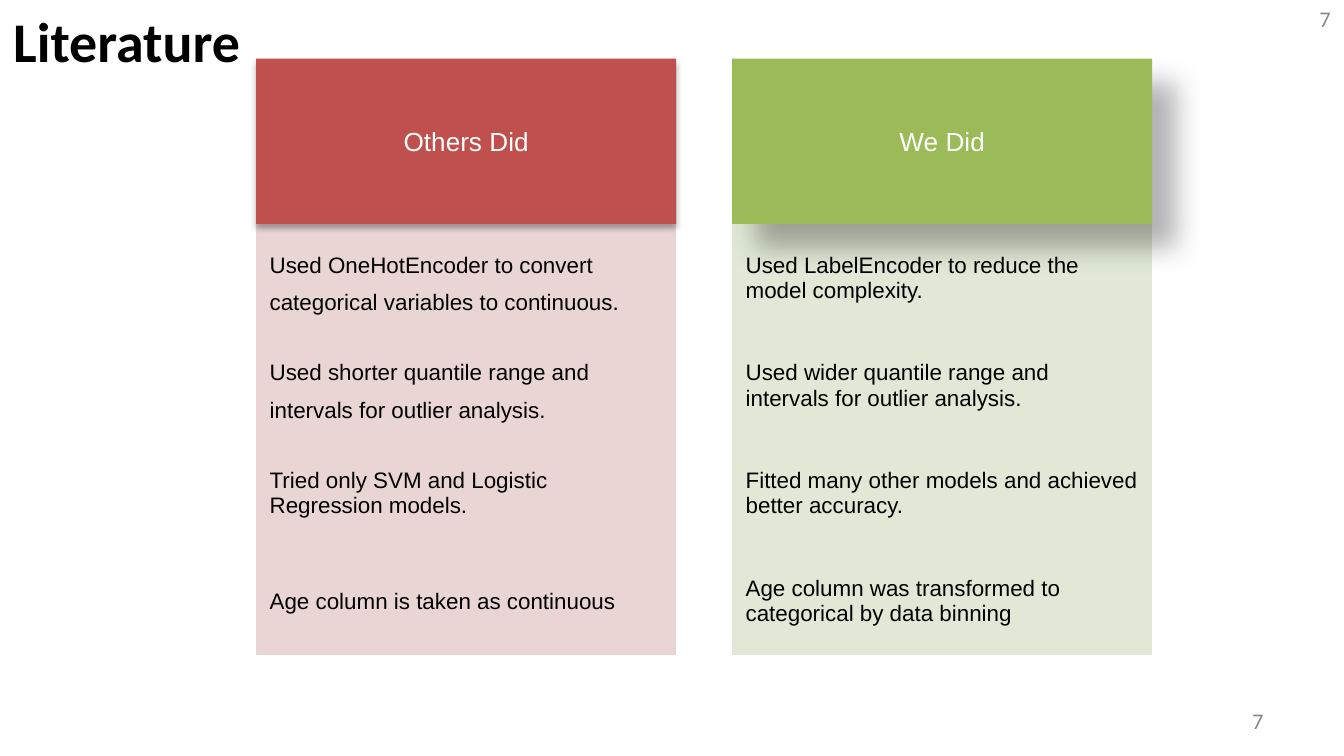
from lxml.etree import SubElement
from pptx import Presentation
from pptx.dml.color import RGBColor
from pptx.enum.shapes import MSO_SHAPE
from pptx.enum.text import MSO_ANCHOR, MSO_AUTO_SIZE, PP_ALIGN
from pptx.oxml.ns import qn
from pptx.util import Pt

PX = 9525
SLIDE_SIZE = (960, 540)
NO_GRID_STYLE = "{2D5ABB26-0587-4C30-8999-92F81FD0307C}"
HEADER_HEIGHT = 118
COLUMN_GAP = 40

COLORS = {
    "text": "000000",
    "header_text": "FFFFFF",
    "page_number": "888888",
    "others": "C0504D",
    "others_body": "EAD5D5",
    "ours": "9BBB59",
    "ours_body": "E1E9D6",
    "shadow": "000000",
}

FORMATS = {
    "title": {"name": "Calibri", "size": Pt(30), "bold": True},
    "page_number": {"name": "Calibri", "size": Pt(12)},
    "header": {"name": "Arial", "size": Pt(14)},
    "body": {"name": "Arial", "size": Pt(12), "bold": False},
}

COMPARISON = [
    {
        "heading": "Others Did",
        "color": "others",
        "shadow": {"opacity": 32, "blur": 3.5, "distance": 2.2, "angle": 90},
        "points": [
            ("Used OneHotEncoder to convert categorical variables to continuous.", 1.5),
            ("Used shorter quantile range and intervals for outlier analysis.", 1.5),
            ("Tried only SVM and Logistic Regression models.", None),
            ("Age column is taken as continuous", None),
        ],
    },
    {
        "heading": "We Did",
        "color": "ours",
        "shadow": {"opacity": 30, "blur": 15, "distance": 18, "angle": 45},
        "points": [
            ("Used LabelEncoder to reduce the model complexity.", None),
            ("Used wider quantile range and intervals for outlier analysis.", None),
            ("Fitted many other models and achieved better accuracy.", None),
            ("Age column was transformed to categorical by data binning", None),
        ],
    },
]


def emu(*lengths):
    return [length * PX for length in lengths]


def rgb(key):
    return RGBColor.from_string(COLORS[key])


def write(frame, text, style, color, align=PP_ALIGN.LEFT, spacing=None):
    paragraph = frame.paragraphs[0]
    paragraph.alignment = align
    paragraph.line_spacing = spacing
    run = paragraph.add_run()
    run.text = text
    for attribute, value in FORMATS[style].items():
        setattr(run.font, attribute, value)
    run.font.color.rgb = rgb(color)


def add_label(slide, box, text, style, color, frame_format, align=PP_ALIGN.LEFT):
    frame = slide.shapes.add_textbox(*emu(*box)).text_frame
    for attribute, value in {"word_wrap": True, **frame_format}.items():
        setattr(frame, attribute, value)
    write(frame, text, style, color, align)


def add_title(slide, box):
    add_label(slide, box, "Literature", "title", "text",
              {"auto_size": MSO_AUTO_SIZE.SHAPE_TO_FIT_TEXT})


def add_page_number(slide, box):
    add_label(slide, box, "7", "page_number", "page_number",
              {"vertical_anchor": MSO_ANCHOR.MIDDLE}, PP_ALIGN.RIGHT)


def cast_shadow(shape, opacity, blur, distance, angle):
    shape.shadow.inherit = False
    effects = shape._element.spPr.find(qn("a:effectLst"))
    shadow = SubElement(effects, qn("a:outerShdw"), {
        "blurRad": str(Pt(blur)),
        "dist": str(Pt(distance)),
        "dir": str(angle * 60000),
        "algn": "tl",
        "rotWithShape": "0",
    })
    tint = SubElement(shadow, qn("a:srgbClr"), val=COLORS["shadow"])
    SubElement(tint, qn("a:alpha"), val=str(opacity * 1000))


def add_header(slide, box, heading, color, shadow):
    header = slide.shapes.add_shape(MSO_SHAPE.RECTANGLE, *emu(*box))
    header.fill.solid()
    header.fill.fore_color.rgb = rgb(color)
    header.line.fill.background()
    cast_shadow(header, **shadow)
    header.text_frame.vertical_anchor = MSO_ANCHOR.MIDDLE
    write(header.text_frame, heading, "header", "header_text", PP_ALIGN.CENTER)


def add_points(slide, box, points, color):
    table = slide.shapes.add_table(len(points), 1, *emu(*box)).table
    for attribute in ("first_row", "horz_banding"):
        setattr(table, attribute, False)
    table._tbl.tblPr.find(qn("a:tableStyleId")).text = NO_GRID_STYLE
    for index, (text, spacing) in enumerate(points):
        cell = table.cell(index, 0)
        cell.fill.solid()
        cell.fill.fore_color.rgb = rgb(color)
        cell.vertical_anchor = MSO_ANCHOR.MIDDLE
        write(cell.text_frame, text, "body", "text", spacing=spacing)


def add_column(slide, box, column):
    left, top, width, height = box
    add_points(slide, (left, top + HEADER_HEIGHT, width, height - HEADER_HEIGHT),
               column["points"], column["color"] + "_body")
    add_header(slide, (left, top, width, HEADER_HEIGHT),
               column["heading"], column["color"], column["shadow"])


def add_comparison(slide, box):
    left, top, width, height = box
    count = len(COMPARISON)
    column_width = (width - COLUMN_GAP * (count - 1)) // count
    for index, column in enumerate(COMPARISON):
        column_left = left + index * (column_width + COLUMN_GAP)
        add_column(slide, (column_left, top, column_width, height), column)


def main():
    presentation = Presentation()
    presentation.slide_width, presentation.slide_height = emu(*SLIDE_SIZE)
    slide = presentation.slides.add_slide(presentation.slide_layouts[6])
    add_page_number(slide, (688, 500, 224, 29))
    add_title(slide, (0, 0, 777, 59))
    add_comparison(slide, (183, 42, 640, 426))
    add_page_number(slide, (736, -1, 224, 29))
    presentation.save("out.pptx")


if __name__ == "__main__":
    main()
